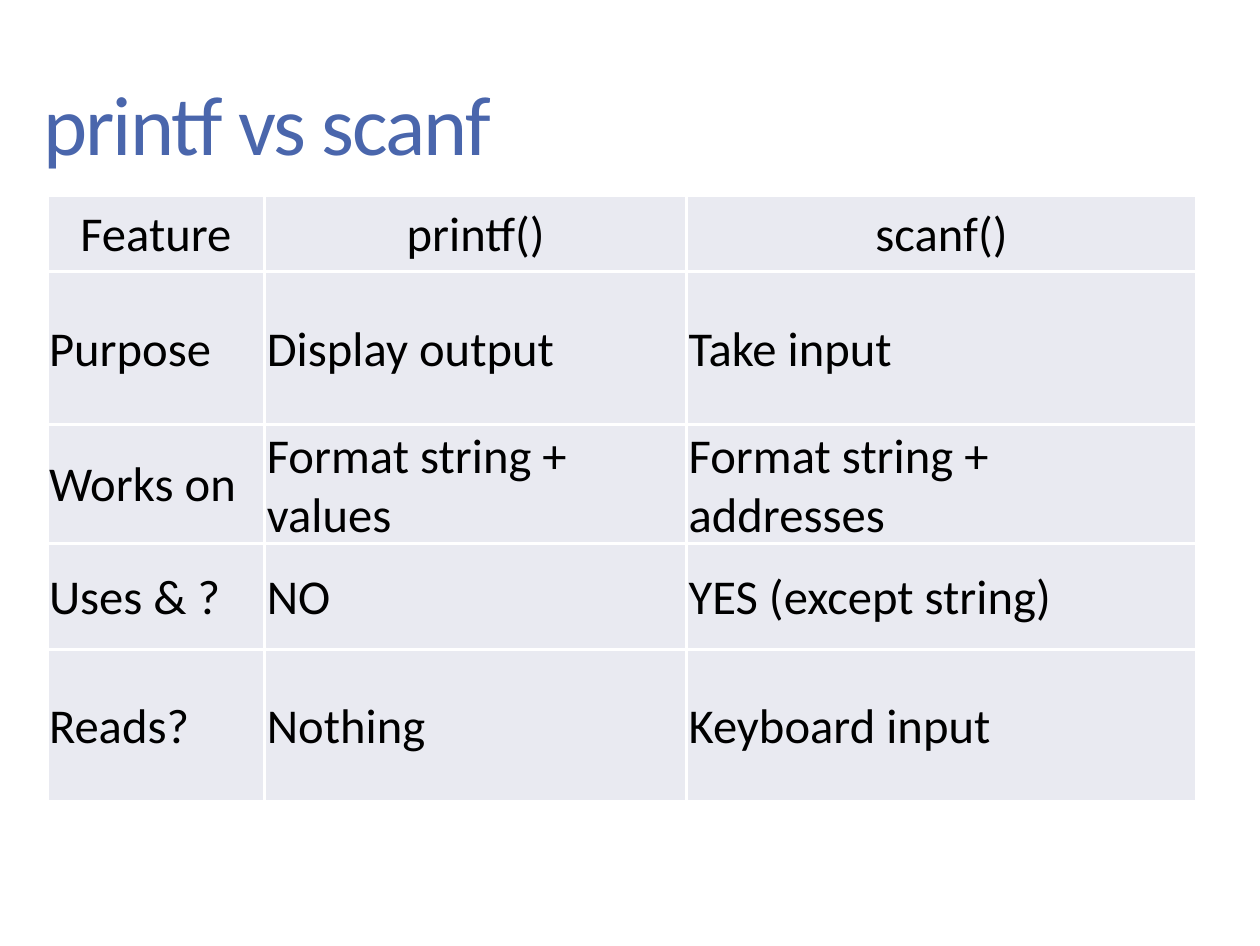
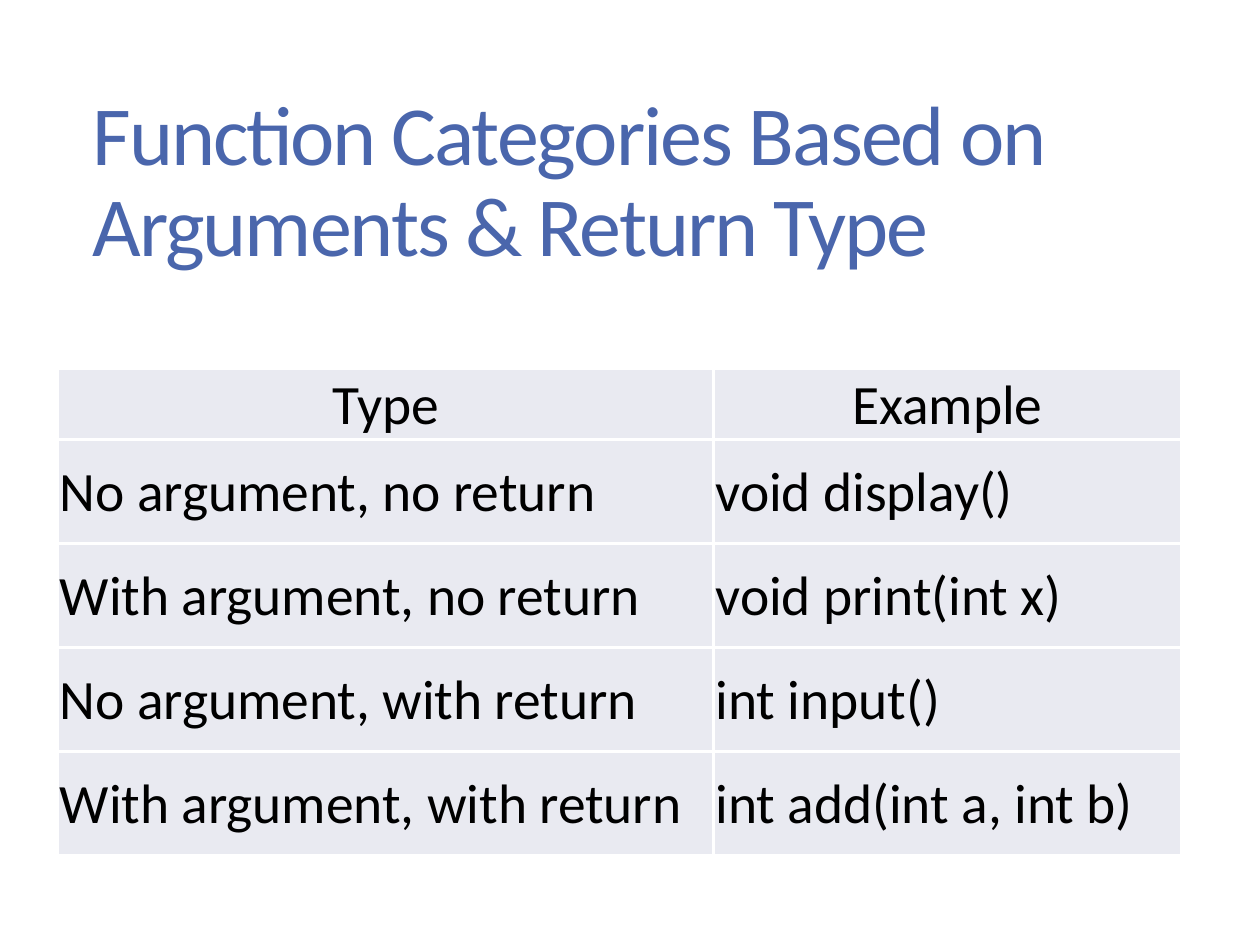
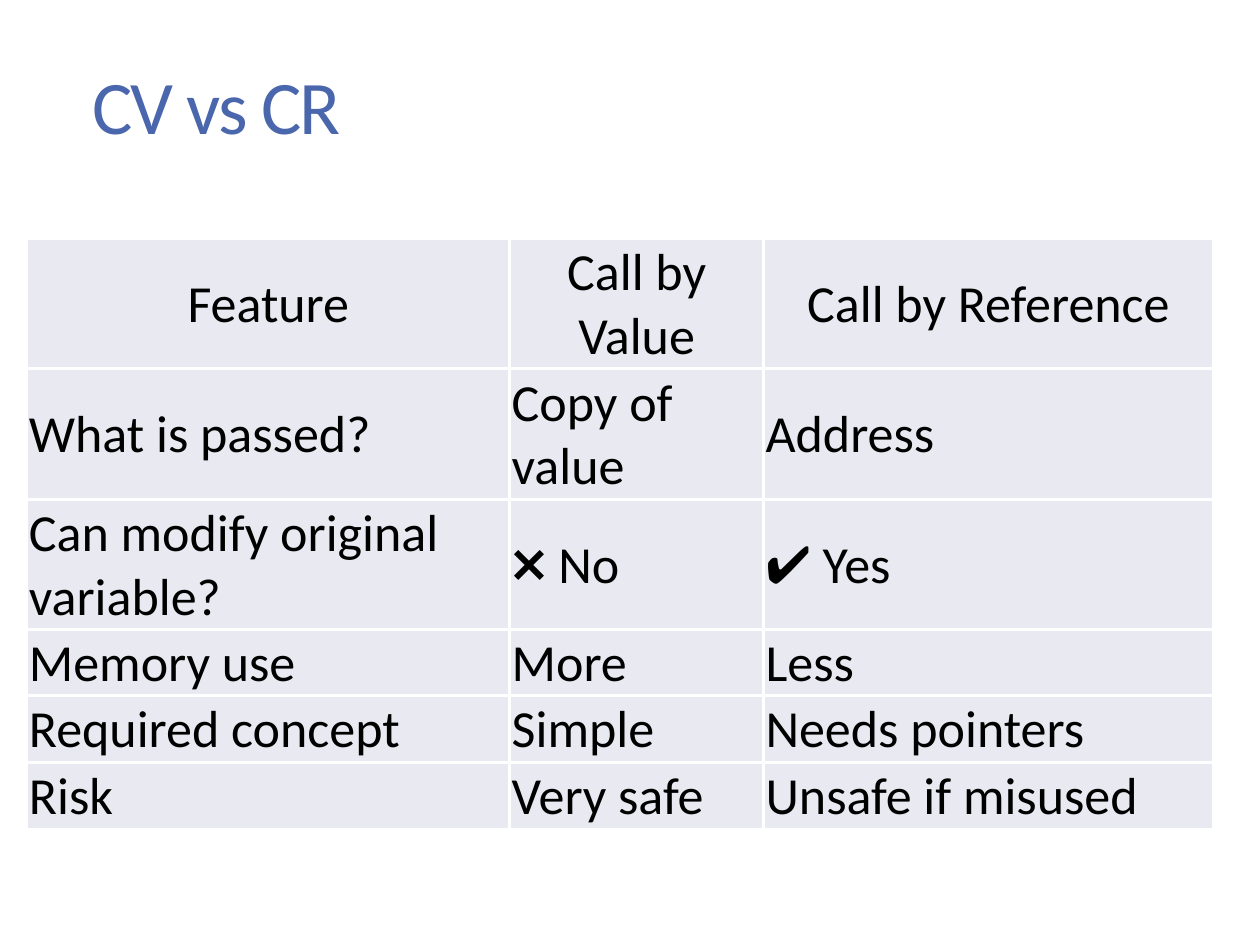
"""Build three slides that compare C language features in tables."""
from lxml.etree import SubElement
from pptx import Presentation
from pptx.dml.color import RGBColor
from pptx.enum.text import MSO_ANCHOR, PP_ALIGN
from pptx.oxml.ns import qn
from pptx.util import Emu, Pt

PAGE_SIZE = (Pt(363), Pt(272.5))
FONT = "Calibri"
TITLE_COLOR, TEXT_COLOR, CELL_COLOR, BORDER_COLOR = "4A66AC", "000000", "E9EAF1", "FFFFFF"
TITLE_INSETS = (25, 12, 25, 12)
CELL_INSETS = (2, 2, 2, 0)

SLIDES = [
    {
        "title": "printf vs scanf", "title_box": (19, 14, 1113, 229), "title_size": 24.2,
        "table_at": (47, 196), "size": 14,
        "widths": (218, 422, 510), "heights": (76, 153, 119, 106, 152),
        "rows": [
            ("Feature", "printf()", "scanf()"),
            ("Purpose", "Display output", "Take input"),
            ("Works on", "Format string + values", "Format string + addresses"),
            ("Uses & ?", "NO", "YES (except string)"),
            ("Reads?", "Nothing", "Keyboard input"),
        ],
    },
    {
        "title": "Function Categories Based on Arguments & Return Type",
        "title_box": (68, 69, 1113, 229), "title_size": 24.2,
        "table_at": (58, 369), "size": 16,
        "widths": (656, 468), "heights": (71, 104, 104, 104, 104),
        "rows": [
            ("Type", "Example"),
            ("No argument, no return", "void display()"),
            ("With argument, no return", "void print(int x)"),
            ("No argument, with return", "int input()"),
            ("With argument, with return", "int add(int a, int b)"),
        ],
    },
    {
        "title": "CV vs CR", "title_box": (68, 69, 1113, 82), "title_size": 21.8,
        "table_at": (27, 239), "size": 15,
        "widths": (483, 254, 450), "heights": (130, 131, 130, 66, 67, 67),
        "rows": [
            ("Feature", "Call by Value", "Call by Reference"),
            ("What is passed?", "Copy of value", "Address"),
            ("Can modify original variable?", "❌ No", "✔ Yes"),
            ("Memory use", "More", "Less"),
            ("Required concept", "Simple", "Needs pointers"),
            ("Risk", "Very safe", "Unsafe if misused"),
        ],
    },
]


def px(length):
    """Turn px into EMU at 250 px to the inch."""
    return Emu(round(length * 914400 / 250))


def color(code):
    """Turn a hex string into a colour."""
    return RGBColor.from_string(code)


def set_insets(holder, insets):
    """Set the left, top, right and bottom margins of a cell or text frame."""
    (holder.margin_left, holder.margin_top,
     holder.margin_right, holder.margin_bottom) = map(px, insets)


def write(frame, text, size, fill, align=PP_ALIGN.LEFT, line_spacing=None, tracking=None):
    """Write one formatted paragraph into a text frame."""
    frame.word_wrap = True
    para = frame.paragraphs[0]
    para.alignment = align
    if line_spacing:
        para.line_spacing = line_spacing
    span = para.add_run()
    span.text = text
    span.font.name, span.font.size = FONT, Pt(size)
    span.font.bold = False
    span.font.color.rgb = color(fill)
    if tracking is not None:
        span.font._element.set("spc", str(round(tracking * 100)))


def add_title(page, text, box, size):
    """Add the slide title."""
    frame = page.shapes.add_textbox(*map(px, box)).text_frame
    set_insets(frame, TITLE_INSETS)
    frame.vertical_anchor = MSO_ANCHOR.MIDDLE
    write(frame, text, size, TITLE_COLOR, line_spacing=0.9, tracking=-0.6)


def style_cell(cell):
    """Give a cell its borders, fill, margins and anchor."""
    properties = cell._tc.get_or_add_tcPr()
    for side in ("a:lnL", "a:lnR", "a:lnT", "a:lnB"):
        border = SubElement(properties, qn(side), w=str(Pt(1)))
        SubElement(SubElement(border, qn("a:solidFill")), qn("a:srgbClr"), val=BORDER_COLOR)
    cell.fill.solid()
    cell.fill.fore_color.rgb = color(CELL_COLOR)
    set_insets(cell, CELL_INSETS)
    cell.vertical_anchor = MSO_ANCHOR.MIDDLE


def add_grid(page, rows, position, widths, heights, size):
    """Add a table with a centred header row."""
    box = (*position, sum(widths), sum(heights))
    table = page.shapes.add_table(len(rows), len(widths), *map(px, box)).table
    table.first_row = table.horz_banding = False
    for column, width in zip(table.columns, widths):
        column.width = px(width)
    for row, height in zip(table.rows, heights):
        row.height = px(height)
    for row_index, texts in enumerate(rows):
        align = PP_ALIGN.LEFT if row_index else PP_ALIGN.CENTER
        for column_index, text in enumerate(texts):
            cell = table.cell(row_index, column_index)
            style_cell(cell)
            write(cell.text_frame, text, size, TEXT_COLOR, align=align)


def main():
    """Build and save the deck."""
    deck = Presentation()
    deck.slide_width, deck.slide_height = PAGE_SIZE
    for content in SLIDES:
        page = deck.slides.add_slide(deck.slide_layouts[6])
        add_title(page, content["title"], content["title_box"], content["title_size"])
        add_grid(page, content["rows"], content["table_at"],
                 content["widths"], content["heights"], content["size"])
    deck.save("out.pptx")


if __name__ == "__main__":
    main()
